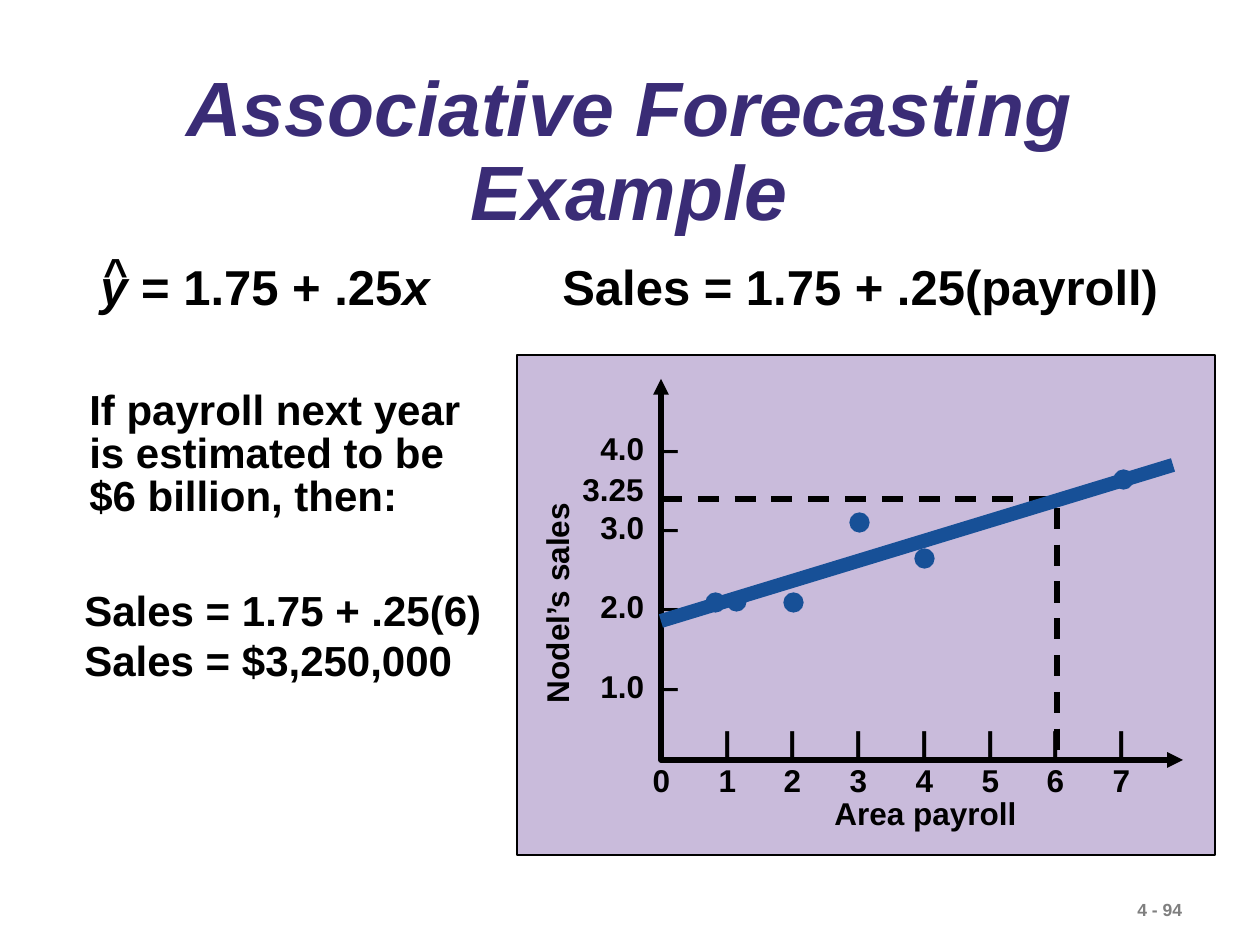
"""Build the associative forecasting slide with its regression diagram."""
from lxml.etree import SubElement
from pptx import Presentation
from pptx.dml.color import RGBColor
from pptx.enum.dml import MSO_LINE
from pptx.enum.shapes import MSO_CONNECTOR, MSO_SHAPE
from pptx.enum.text import MSO_ANCHOR, PP_ALIGN
from pptx.oxml.ns import qn
from pptx.util import Pt

EMU_PER_PX = 914400 / 126
COLORS = {name: RGBColor.from_string(value) for name, value in {
    "title": "3A2C76", "text": "000000", "panel": "C9BBDB",
    "data": "175097", "number": "7F7F7F"}.items()}


def px(*lengths):
    """Turn pixel lengths into EMU."""
    return [round(length * EMU_PER_PX) for length in lengths]


def add_text(box, lines, size, color="text", wrap=False, spacing=None, tabs=()):
    """Add bold text; parts between asterisks are italic."""
    shape = slide.shapes.add_textbox(*px(*box))
    frame = shape.text_frame
    frame.word_wrap = wrap
    for index, line in enumerate(lines):
        paragraph = frame.paragraphs[0] if index == 0 else frame.add_paragraph()
        if tabs:
            tab_list = SubElement(paragraph._p.get_or_add_pPr(), qn("a:tabLst"))
            for position, alignment in tabs:
                SubElement(tab_list, qn("a:tab"), pos=str(px(position)[0]), algn=alignment)
        paragraph.line_spacing = spacing
        for part, text in enumerate(line.split("*")):
            if text:
                run = paragraph.add_run()
                run.text = text
                style = {"name": "Arial", "size": Pt(size), "bold": True, "italic": part % 2 == 1}
                for attribute, value in style.items():
                    setattr(run.font, attribute, value)
                run.font.color.rgb = COLORS[color]
    return shape


presentation = Presentation()
presentation.slide_width, presentation.slide_height = px(1260, 945)
slide = presentation.slides.add_slide(presentation.slide_layouts[5])

title = slide.shapes.title
title.left, title.top, title.width, title.height = px(94, 64, 1071, 179)
title.text_frame.text = "Associative Forecasting Example"
title.text_frame.vertical_anchor = MSO_ANCHOR.MIDDLE
title_paragraph = title.text_frame.paragraphs[0]
title_paragraph.alignment = PP_ALIGN.CENTER
title_paragraph.line_spacing = 0.9
title_style = {"name": "Arial", "size": Pt(44), "bold": True, "italic": True}
for attribute, value in title_style.items():
    setattr(title_paragraph.runs[0].font, attribute, value)
title_paragraph.runs[0].font.color.rgb = COLORS["title"]

dots = [(1114, 470), (915, 549), (850, 513), (784, 593), (727, 592), (706, 593)]
solid_shapes = [(MSO_SHAPE.RECTANGLE, (517, 355, 698, 500), "panel", "text")]
solid_shapes += [(MSO_SHAPE.OVAL, (left, top, 19, 19), "data", "data") for left, top in dots]
for kind, box, fill, line in solid_shapes:
    shape = slide.shapes.add_shape(kind, *px(*box))
    shape.shadow.inherit = False
    shape.fill.solid()
    shape.fill.fore_color.rgb = COLORS[fill]
    shape.line.color.rgb = COLORS[line]
    shape.line.width = Pt(0.75)

add_text((1125, 893, 135, 34), ["4 - 94"], 10, "number", wrap=True)
add_text((88, 250, 354, 72), ["*y* = 1.75 + .25*x*"], 28)
add_text((91, 240, 49, 63), ["^"], 24)
add_text((550, 250, 621, 72), ["Sales = 1.75 + .25(payroll)"], 28)
add_text((77, 385, 401, 141), ["If payroll next year is estimated to be $6 billion, then:"],
         24, wrap=True, spacing=0.85)
add_text((72, 578, 422, 113), ["Sales = 1.75 + .25(6)", "Sales = $3,250,000"], 24)

axis_corners = [(661, 379), (661, 760), (1183, 760)]
estimate_corners = [(661, 499), (1057, 499), (1057, 760)]
outlines = []
for start, *corners in (axis_corners, estimate_corners):
    builder = slide.shapes.build_freeform(*start, scale=EMU_PER_PX)
    builder.add_line_segments(corners, close=False)
    outline = builder.convert_to_shape()
    outline.shadow.inherit = False
    outline.fill.background()
    outline.line.color.rgb = COLORS["text"]
    outline.line.width = Pt(3)
    outlines.append(outline)
axes, estimate = outlines
estimate.line.dash_style = MSO_LINE.DASH
for end in ("a:headEnd", "a:tailEnd"):
    SubElement(axes.line._get_or_add_ln(), qn(end), type="triangle")

add_text((588, 381, 110, 410), [f"{value}.0\t–" for value in (4, 3, 2, 1)], 18,
         wrap=True, spacing=2.1, tabs=[(61, "l")])
payroll_tabs = [(round(53 + 65.7 * step), "ctr") for step in range(8)]
payroll_labels = "".join(f"\t{value}" for value in range(8))
add_text((596, 717, 580, 88), ["\t" + "\t|" * 7, payroll_labels], 18,
         wrap=True, tabs=payroll_tabs)
sales_label = add_text((443, 577, 227, 50), ["Nodel’s sales"], 18)
sales_label.rotation = 270
add_text((822, 788, 207, 50), ["Area payroll"], 18)
add_text((570, 464, 110, 50), ["3.25"], 18, wrap=True)

trend = slide.shapes.add_connector(MSO_CONNECTOR.STRAIGHT, *px(661, 621, 1173, 465))
trend.line.color.rgb = COLORS["data"]
trend.line.width = Pt(8)
SubElement(trend._element.spPr, qn("a:effectLst"))

presentation.save("out.pptx")
